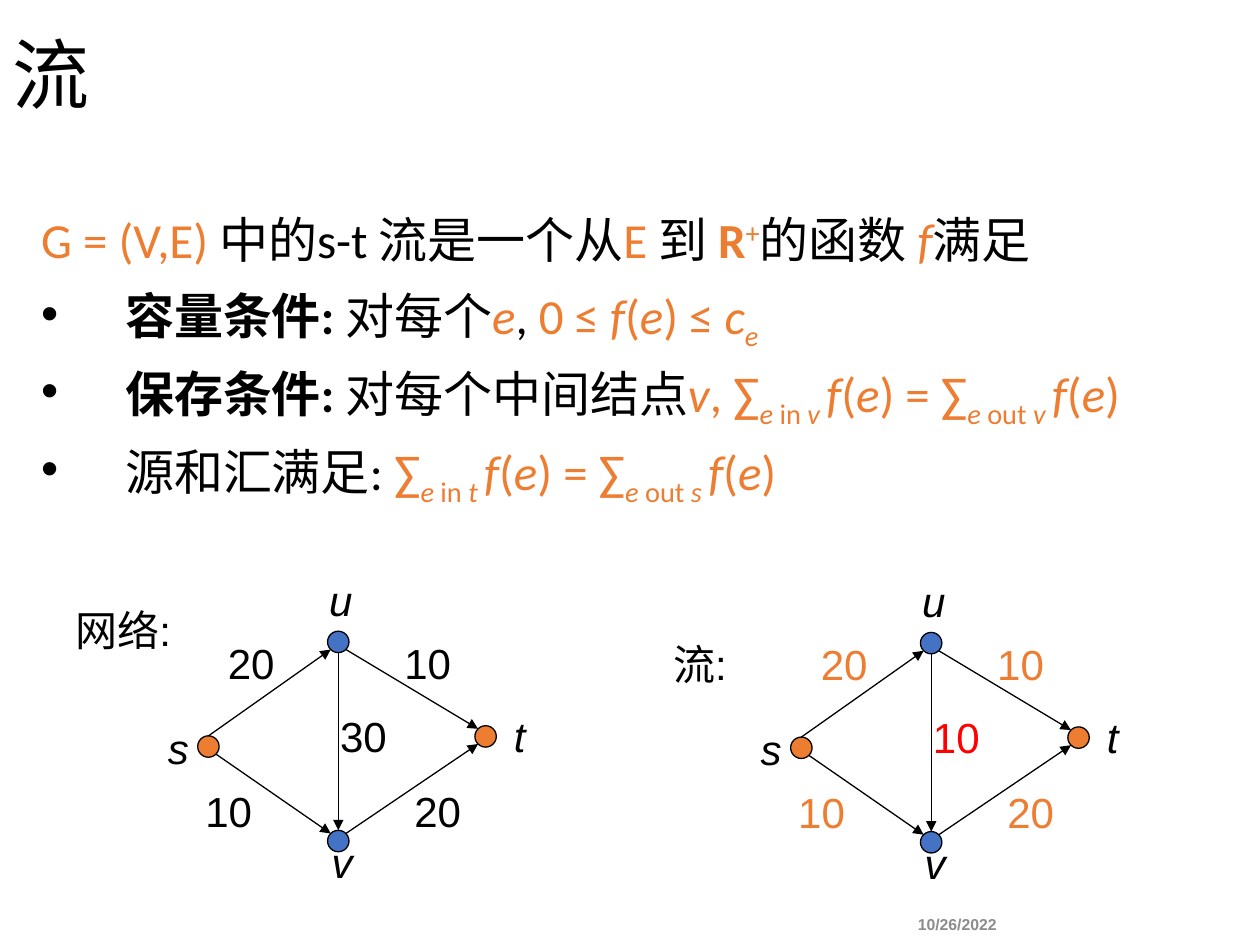
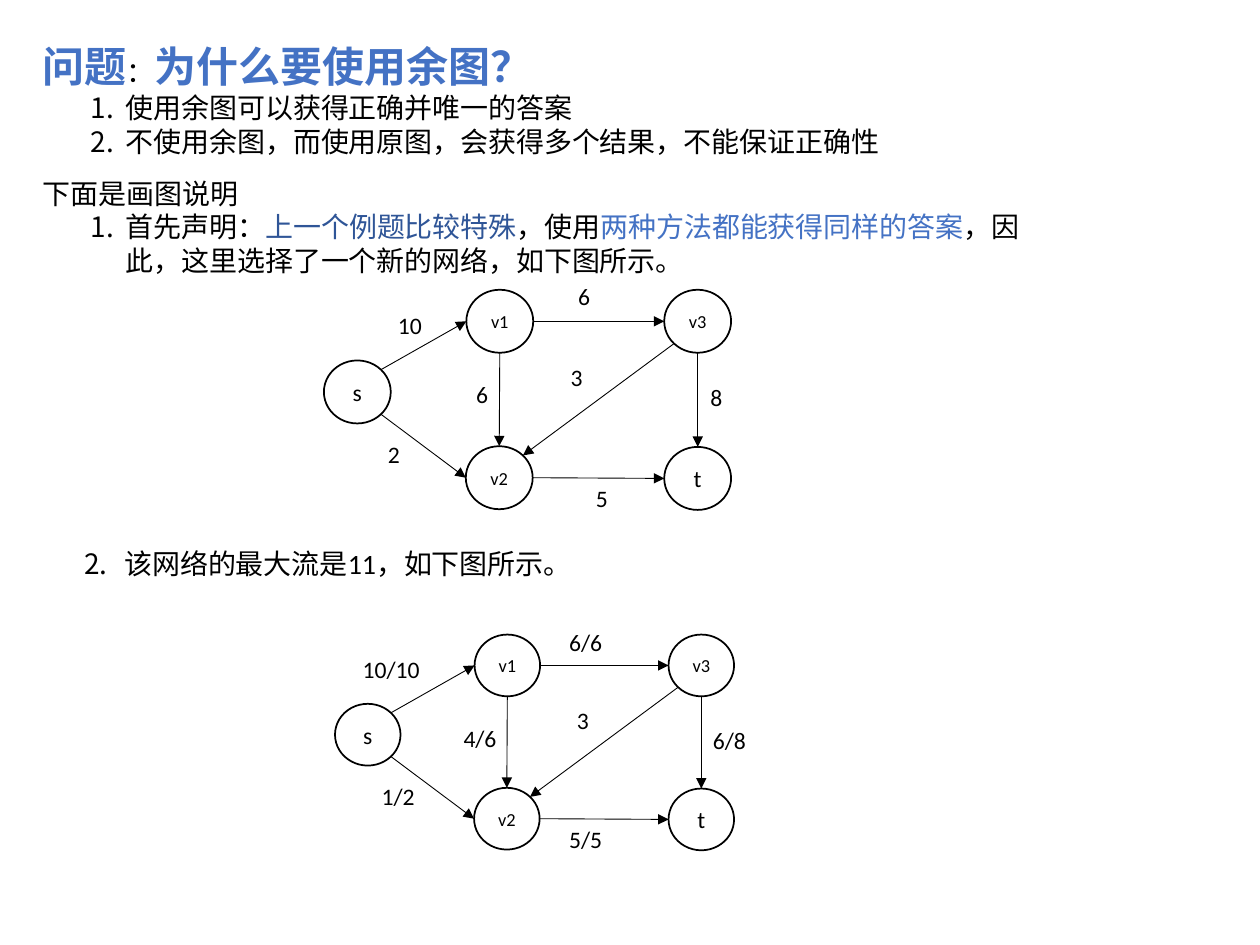
from dataclasses import dataclass, field
from typing import NamedTuple

import pptx
import pptx.dml.color
import pptx.enum.shapes
import pptx.enum.text
import pptx.oxml.ns
import pptx.oxml.xmlchemy
import pptx.util
from lxml import etree

Pt = pptx.util.Pt
RGBColor = pptx.dml.color.RGBColor
Align = pptx.enum.text.PP_ALIGN
Anchor = pptx.enum.text.MSO_ANCHOR
qn = pptx.oxml.ns.qn

BLACK = RGBColor(0x00, 0x00, 0x00)
WHITE = RGBColor(0xFF, 0xFF, 0xFF)
GREY = RGBColor(0x8C, 0x8C, 0x8C)
ORANGE = RGBColor(0xED, 0x7D, 0x31)
BLUE = RGBColor(0x44, 0x72, 0xC4)
DARK_BLUE = RGBColor(0x2F, 0x55, 0x97)
RED = RGBColor(0xFF, 0x00, 0x00)
BODY_FONT, LABEL_FONT = "Calibri", "Arial"

# Points on the rim of an ellipse, as fractions of its box
SITES = {
    "top": (0.5, 0), "bottom": (0.5, 1), "left": (0, 0.5), "right": (1, 0.5),
    "nw": (0.146, 0.146), "ne": (0.854, 0.146),
    "sw": (0.146, 0.854), "se": (0.854, 0.854),
}


class Run(NamedTuple):
    text: str
    size: float = 28
    color: RGBColor = BLACK
    bold: bool = False
    italic: bool = False
    baseline: int = 0
    font: str = BODY_FONT


class Box(NamedTuple):
    left: float
    top: float
    width: float
    height: float


class Edge(NamedTuple):
    start: str
    start_site: str
    end: str
    end_site: str


@dataclass
class Para:
    runs: list[Run]
    bullet: str = ""  # "•", or the first number of a numbered item
    margin: float = 0
    hanging: float = 0
    align: Align = Align.LEFT
    line_spacing: float = 1
    space_before: float = 0


@dataclass
class Flow:
    """Placement and edge values of one flow diagram on the second slide."""
    left: float
    top: float
    scale: float
    label_width: float
    labels: list[tuple[str, float, float]] = field(default_factory=list)


def write(frame, paras: list[Para], anchor: Anchor, wrap: bool = True) -> None:
    frame.word_wrap = wrap
    frame.vertical_anchor = anchor
    for index, para in enumerate(paras):
        paragraph = frame.paragraphs[0] if index == 0 else frame.add_paragraph()
        paragraph.alignment = para.align
        paragraph.line_spacing = para.line_spacing
        paragraph.space_before = Pt(para.space_before)
        props = paragraph._p.get_or_add_pPr()
        props.set("marL", str(Pt(para.margin)))
        props.set("indent", str(-Pt(para.hanging)))
        if para.bullet == "•":
            etree.SubElement(props, qn("a:buFont"), typeface=LABEL_FONT)
            etree.SubElement(props, qn("a:buChar"), char=para.bullet)
        elif para.bullet:
            etree.SubElement(props, qn("a:buFont"), typeface=BODY_FONT)
            etree.SubElement(props, qn("a:buAutoNum"), type="arabicPeriod",
                             startAt=para.bullet)
        for part in para.runs:
            run = paragraph.add_run()
            run.text = part.text
            run.font.name = part.font
            run.font.size = Pt(part.size)
            run.font.bold = part.bold
            run.font.italic = part.italic
            run.font.color.rgb = part.color
            if part.baseline:
                run._r.get_or_add_rPr().set("baseline", str(part.baseline * 1000))


def add_text(slide, box: Box, paras: list[Para],
             anchor: Anchor = Anchor.TOP, wrap: bool = True) -> None:
    textbox = slide.shapes.add_textbox(*map(Pt, box))
    write(textbox.text_frame, paras, anchor, wrap)


def add_node(slide, box: Box, fill: RGBColor, line_width: float, caption: Run | None = None) -> None:
    node = slide.shapes.add_shape(pptx.enum.shapes.MSO_SHAPE.OVAL, *map(Pt, box))
    node.shadow.inherit = False
    node.fill.solid()
    node.fill.fore_color.rgb = fill
    node.line.color.rgb = BLACK
    node.line.width = Pt(line_width)
    if caption:
        frame = node.text_frame
        frame.margin_left = frame.margin_right = 0
        frame.margin_top = frame.margin_bottom = 0
        write(frame, [Para([caption], align=Align.CENTER)], Anchor.MIDDLE, False)


def add_edge(slide, nodes: dict[str, Box], edge: Edge, line_width: float) -> None:
    def rim(name: str, site: str) -> tuple[int, int]:
        box, (x, y) = nodes[name], SITES[site]
        return Pt(box.left + x * box.width), Pt(box.top + y * box.height)

    arrow = slide.shapes.add_connector(
        pptx.enum.shapes.MSO_CONNECTOR.STRAIGHT,
        *rim(edge.start, edge.start_site), *rim(edge.end, edge.end_site))
    arrow.line.color.rgb = BLACK
    arrow.line.width = Pt(line_width)
    etree.SubElement(arrow.line._get_or_add_ln(), qn("a:tailEnd"), type="triangle")
    etree.SubElement(arrow._element.spPr, qn("a:effectLst"))


# Formula pieces of the flow definition
def math(text: str, italic: bool = False, baseline: int = 0) -> Run:
    return Run(text, color=ORANGE, italic=italic, baseline=baseline)


def f_of_e(after: str = "") -> list[Run]:
    return [math("f", True), math("("), math("e", True), math(")" + after)]


def total(direction: str, node: str) -> list[Run]:
    return [math("∑"), math("e", True, -25), math(f" {direction} ", baseline=-25),
            math(node + " ", True, -25)]


def balance(inflow: str, outflow: str) -> list[Run]:
    return total("in", inflow) + f_of_e(" = ") + total("out", outflow) + f_of_e()


# Small network: node corners, edges, and label centres
DOT = 12.25
NETWORK_NODES = {"s": (113, 420.5, ORANGE), "u": (187.2, 360.7, BLUE),
                 "t": (271.4, 414.7, ORANGE), "v": (187.2, 474.5, BLUE)}
NETWORK_EDGES = [Edge("u", "se", "t", "nw"), Edge("s", "top", "u", "sw"),
                 Edge("s", "se", "v", "nw"), Edge("v", "ne", "t", "sw"),
                 Edge("u", "bottom", "v", "top")]
NODE_LABELS = {"s": (101.9, 427), "u": (194.8, 342.7),
               "t": (297, 420.5), "v": (195.5, 492.5)}
CAPACITIES = [("20", 143.6, 378.7), ("10", 244.4, 378.7),
              ("10", 130.7, 463), ("20", 250.2, 463)]
MIDDLE_LABEL = (207.7, 420.5)


def add_network(slide, dx: float, dy: float, color: RGBColor,
                middle: str, middle_color: RGBColor) -> None:
    nodes = {}
    for name, (left, top, fill) in NETWORK_NODES.items():
        nodes[name] = Box(left + dx, top + dy, DOT, DOT)
        add_node(slide, nodes[name], fill, 0.75)
    for edge in NETWORK_EDGES:
        add_edge(slide, nodes, edge, 0.75)
    labels = [(name, x, y, BLACK, True) for name, (x, y) in NODE_LABELS.items()]
    labels += [(value, x, y, color, False) for value, x, y in CAPACITIES]
    labels.append((middle, *MIDDLE_LABEL, middle_color, False))
    for text, x, y, ink, italic in labels:
        width = 28 if italic else 41
        run = Run(text, 24, ink, italic=italic, font=LABEL_FONT)
        add_text(slide, Box(x + dx - width / 2, y + dy - 18, width, 36),
                 [Para([run], align=Align.CENTER)], Anchor.MIDDLE, False)


def build_definition(slide) -> None:
    add_text(slide, Box(490, 516.2, 114, 24),
             [Para([Run("10/26/2022", 9, GREY, True, font=LABEL_FONT)],
                   align=Align.CENTER)], Anchor.MIDDLE)
    add_text(slide, Box(0, 0, 660, 90),
             [Para([Run("流", 44)], line_spacing=0.9)], Anchor.MIDDLE)

    # Definition and its conditions
    lines = [
        ("", [math("G = (V,E) "), Run("中的s-t 流是一个从"), math("E "), Run("到 "),
              Run("R", color=ORANGE, bold=True), math("+", baseline=30),
              Run("的函数 "), math("f", True), Run("满足")]),
        ("•", [Run("容量条件: ", bold=True), Run("对每个"), math("e", True), Run(", "),
               math("0 ≤ "), *f_of_e(" ≤ "), math("c", True), math("e", True, -25)]),
        ("•", [Run("保存条件: ", bold=True), Run("对每个中间结点"), math("v", True),
               math(", "), *balance("v", "v")]),
        ("•", [Run("源和汇满足: "), *balance("t", "s")]),
    ]
    add_text(slide, Box(16.5, 120, 703.5, 282),
             [Para(runs, bullet, 48, 48, line_spacing=0.9, space_before=10)
              for bullet, runs in lines])

    # Capacities on the left, flow on the right
    add_network(slide, 0, 0, BLACK, "30", BLACK)
    add_network(slide, 338.8, 0.7, ORANGE, "10", RED)
    for text, box in [("网络:", Box(36, 342, 69, 36)), ("流:", Box(377.5, 361, 45, 36))]:
        add_text(slide, box, [Para([Run(text, 24, font=LABEL_FONT)],
                                   align=Align.CENTER)], Anchor.MIDDLE)


# Five-node network: offsets from v1, with caption sizes
FLOW_NODES = {"s": (-81.4, 40.4, 13.5), "v1": (0, 0, 10.5), "v2": (-0.3, 89.4, 10.5),
              "v3": (113.1, 0, 10.5), "t": (113.1, 89.8, 13.5)}
FLOW_EDGES = [Edge("s", "ne", "v1", "left"), Edge("s", "se", "v2", "left"),
              Edge("v1", "bottom", "v2", "top"), Edge("v3", "bottom", "t", "top"),
              Edge("v1", "right", "v3", "left"), Edge("v3", "sw", "v2", "ne"),
              Edge("v2", "right", "t", "left")]
FLOWS = [
    Flow(266.5, 165.6, 1, 32.4,
         [("10", 220.3, 174.2), ("2", 214.6, 247.7), ("6", 265, 213.8), ("8", 398.9, 215.3),
          ("6", 323.3, 157.7), ("3", 319, 203.8), ("5", 333.4, 272.9)]),
    Flow(271.2, 362.6, 0.98, 58,
         [("10/10", 200.2, 370.8), ("1/2", 211, 443.5), ("4/6", 257.8, 410.4),
          ("6/8", 400.3, 411.1), ("6/6", 318.2, 355), ("3", 322.6, 399.6),
          ("5/5", 318.2, 468)]),
]


def add_flow(slide, flow: Flow) -> None:
    nodes = {}
    for name, (x, y, size) in FLOW_NODES.items():
        nodes[name] = Box(flow.left + x * flow.scale, flow.top + y * flow.scale,
                          38.2 * flow.scale, 36 * flow.scale)
        add_node(slide, nodes[name], WHITE, 1, Run(name, size))
    for edge in FLOW_EDGES:
        add_edge(slide, nodes, edge, 0.5)
    for value, left, top in flow.labels:
        add_text(slide, Box(left, top, flow.label_width, 23.8), [Para([Run(value, 13.5)])])


def build_question(slide) -> None:
    def numbered(number: str, *runs: Run) -> Para:
        return Para(list(runs), number, 47.5, 20)

    # Question and answers
    add_text(slide, Box(17.3, 19.4, 514, 75), [
        Para([Run("问题", 24, BLUE, True), Run("：", 16),
              Run("为什么要使用余图？", 24, BLUE, True)]),
        numbered("1", Run("使用余图可以获得正确并唯一的答案", 16)),
        numbered("1", Run("不使用余图，而使用原图，会获得多个结果，不能保证正确性", 16)),
    ])
    # Explanation around the two diagrams
    add_text(slide, Box(17.3, 97.2, 581.8, 65.5), [
        Para([Run("下面是画图说明", 16)]),
        numbered("1", Run("首先声明：", 16), Run("上一个例题比较特殊", 16, DARK_BLUE),
                 Run("，使用", 16), Run("两种方法都能获得同样的答案", 16, BLUE),
                 Run("，因此，这里选择了一个新的网络，如下图所示。", 16)),
    ])
    add_text(slide, Box(41, 308.9, 322.6, 26.6),
             [Para([Run("该网络的最大流是11，如下图所示。", 16)], "2", 23, 23)])
    for flow in FLOWS:
        add_flow(slide, flow)


def main() -> None:
    deck = pptx.Presentation()
    deck.slide_width, deck.slide_height = Pt(720), Pt(540)
    for build in (build_definition, build_question):
        build(deck.slides.add_slide(deck.slide_layouts[6]))
    deck.save("out.pptx")


if __name__ == "__main__":
    main()
